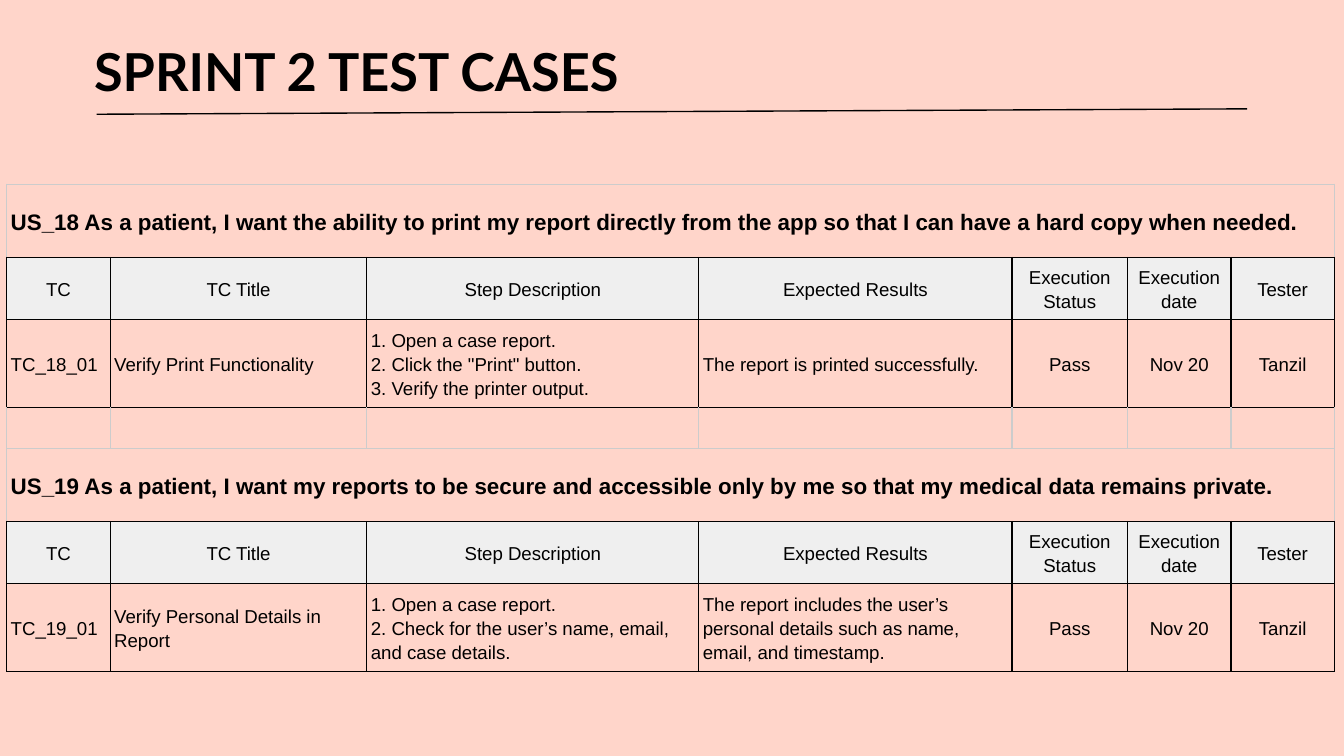
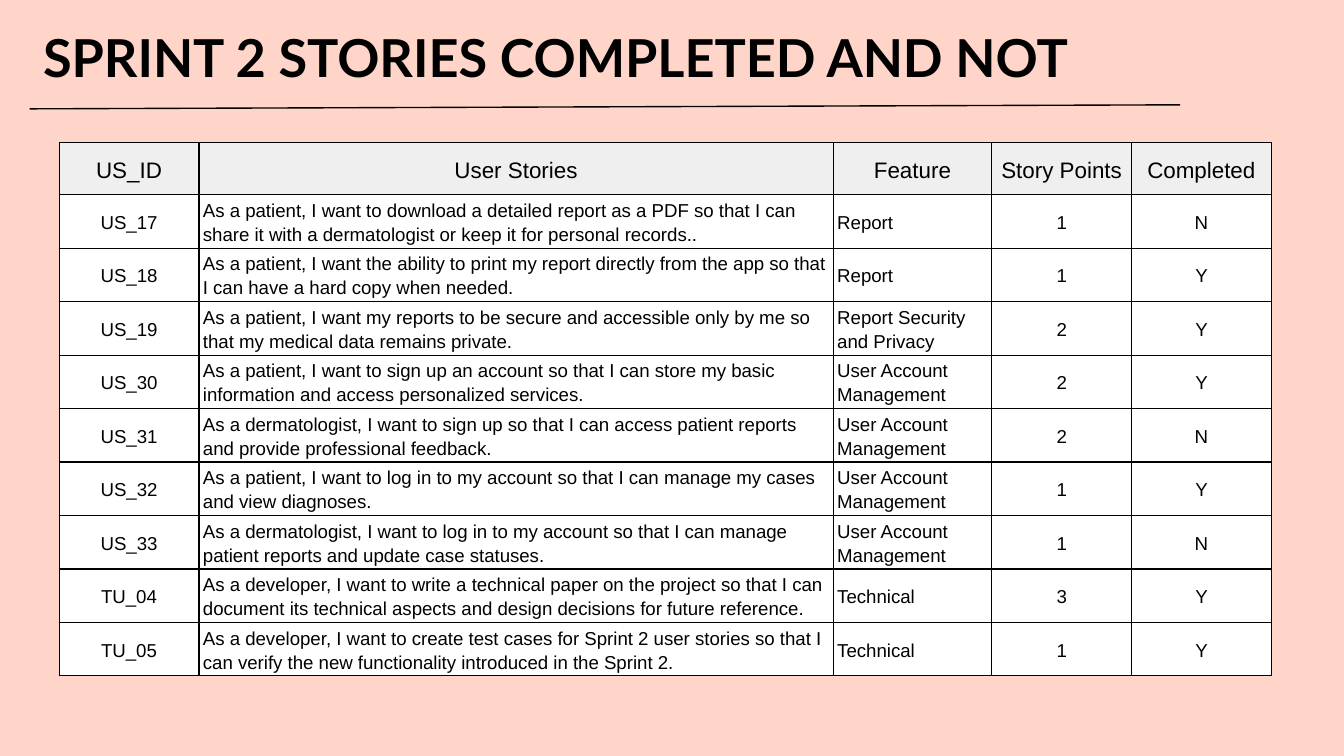
from dataclasses import dataclass
from typing import Optional

from lxml.etree import SubElement
from pptx import Presentation
from pptx.dml.color import RGBColor
from pptx.enum.shapes import MSO_CONNECTOR
from pptx.enum.text import MSO_ANCHOR, MSO_AUTO_SIZE, PP_ALIGN
from pptx.oxml.ns import qn
from pptx.oxml.xmlchemy import OxmlElement
from pptx.util import Inches, Pt

GRID_COLUMNS, GRID_ROWS = 100, 56.25
BLACK, WHITE, PEACH = "000000", "FFFFFF", "FFD5CA"
HEADER_GREY, PALE_GREY = "EFEFEF", "CCCCCC"
BODY_FONT, TITLE_FONT = "Arial", "Lato"
BORDER_WIDTH = Pt(0.75)


@dataclass(frozen=True)
class RowStyle:
    height: float
    fill: Optional[str] = None
    size: float = 10
    bold: bool = False
    spanning: bool = False
    centred: frozenset = frozenset()
    left: str = BLACK
    right: str = BLACK
    top: str = BLACK
    bottom: str = BLACK


@dataclass(frozen=True)
class Row:
    style: RowStyle
    texts: tuple


@dataclass(frozen=True)
class Heading:
    text: str
    left: float
    top: float
    rule_start: tuple
    rule_end: tuple


@dataclass(frozen=True)
class Grid:
    left: float
    top: float
    widths: tuple
    rows: list


def units(count: float) -> int:
    return Inches(count / 10)


def colour(code: str) -> RGBColor:
    return RGBColor.from_string(code)


def write(frame, text: str, *, font: str = BODY_FONT, size: float = 10, bold: bool = False,
          align=PP_ALIGN.LEFT, spacing: Optional[float] = None) -> None:
    frame.text = text
    for paragraph in frame.paragraphs:
        paragraph.alignment = align
        paragraph.line_spacing = spacing
        for run in paragraph.runs:
            run.font.name = font
            run.font.size = Pt(size)
            run.font.bold = bold
            run.font.color.rgb = colour(BLACK)
        if not paragraph.runs:
            SubElement(paragraph._p, qn("a:endParaRPr"), sz=str(int(size * 100)))


def draw_borders(cell, style: RowStyle) -> None:
    properties = cell._tc.get_or_add_tcPr()
    sides = (("a:lnL", style.left), ("a:lnR", style.right),
             ("a:lnT", style.top), ("a:lnB", style.bottom))
    for position, (tag, code) in enumerate(sides):
        border = OxmlElement(tag)
        border.set("w", str(BORDER_WIDTH))
        SubElement(SubElement(border, qn("a:solidFill")), qn("a:srgbClr"), val=code)
        properties.insert(position, border)


def draw_cell(cell, text: str, style: RowStyle, column: int) -> None:
    cell.vertical_anchor = MSO_ANCHOR.MIDDLE
    cell.margin_left = cell.margin_right = Inches(0.03)
    cell.margin_top = cell.margin_bottom = Inches(0.02)
    align = PP_ALIGN.CENTER if column in style.centred else PP_ALIGN.LEFT
    write(cell.text_frame, text, size=style.size, bold=style.bold, align=align, spacing=1.15)
    if style.fill:
        cell.fill.solid()
        cell.fill.fore_color.rgb = colour(style.fill)
    else:
        cell.fill.background()
    draw_borders(cell, style)


def draw_grid(slide, grid: Grid) -> None:
    height = sum(row.style.height for row in grid.rows)
    table = slide.shapes.add_table(
        len(grid.rows), len(grid.widths), units(grid.left), units(grid.top),
        units(sum(grid.widths)), units(height)).table
    table.first_row = table.horz_banding = False
    for column, width in zip(table.columns, grid.widths):
        column.width = units(width)
    last = len(grid.widths) - 1
    for number, row in enumerate(grid.rows):
        table.rows[number].height = units(row.style.height)
        for column in range(last + 1):
            text = row.texts[column] if column < len(row.texts) else ""
            draw_cell(table.cell(number, column), text, row.style, column)
        if row.style.spanning:
            table.cell(number, 0).merge(table.cell(number, last))


def draw_heading(slide, heading: Heading) -> None:
    title = slide.shapes.title
    title.left, title.top = units(heading.left), units(heading.top)
    title.width, title.height = units(84.3), units(6.3)
    frame = title.text_frame
    frame.word_wrap = True
    frame.auto_size = MSO_AUTO_SIZE.NONE
    frame.vertical_anchor = MSO_ANCHOR.TOP
    frame.margin_left = frame.margin_right = frame.margin_top = frame.margin_bottom = units(1)
    write(frame, heading.text, font=TITLE_FONT, size=28, bold=True)
    ends = [units(value) for value in heading.rule_start + heading.rule_end]
    rule = slide.shapes.add_connector(MSO_CONNECTOR.STRAIGHT, *ends)
    rule.line.color.rgb = colour(BLACK)
    rule.line.width = BORDER_WIDTH
    SubElement(rule._element.spPr, qn("a:effectLst"))


def add_slide(deck, heading: Heading, grid: Grid) -> None:
    slide = deck.slides.add_slide(deck.slide_layouts[5])
    slide.background.fill.solid()
    slide.background.fill.fore_color.rgb = colour(PEACH)
    draw_heading(slide, heading)
    draw_grid(slide, grid)


CASE_STORY = RowStyle(5.45, size=12, bold=True, spanning=True,
                      left=PALE_GREY, right=PALE_GREY, top=PALE_GREY)
CASE_HEADER = RowStyle(4.6, fill=HEADER_GREY, centred=frozenset(range(7)))
CASE_BODY = RowStyle(6.55, centred=frozenset({4, 5, 6}))
CASE_GAP = RowStyle(3.05, left=PALE_GREY, right=PALE_GREY, bottom=PALE_GREY)
BACKLOG_HEADER = RowStyle(3.9, fill=HEADER_GREY, size=12, centred=frozenset(range(5)))
BACKLOG_BODY = RowStyle(3.98, fill=WHITE, centred=frozenset({0, 3, 4}))

CASE_COLUMNS = ("TC", "TC Title", "Step Description", "Expected Results",
                "Execution Status", "Execution date", "Tester")
CASE_OUTCOME = ("Pass", "Nov 20", "Tanzil")
PRINT_STORY = ("As a patient, I want the ability to print my report directly from the app "
               "so that I can have a hard copy when needed.")
SECURITY_STORY = ("As a patient, I want my reports to be secure and accessible only by me "
                  "so that my medical data remains private.")
ACCOUNT = "User Account Management"

BACKLOG = [
    ("US_17", "As a patient, I want to download a detailed report as a PDF so that I can share it "
     "with a dermatologist or keep it for personal records..", "Report", "1", "N"),
    ("US_18", PRINT_STORY, "Report", "1", "Y"),
    ("US_19", SECURITY_STORY, "Report Security and Privacy", "2", "Y"),
    ("US_30", "As a patient, I want to sign up an account so that I can store my basic "
     "information and access personalized services.", ACCOUNT, "2", "Y"),
    ("US_31", "As a dermatologist, I want to sign up so that I can access patient reports "
     "and provide professional feedback.", ACCOUNT, "2", "N"),
    ("US_32", "As a patient, I want to log in to my account so that I can manage my cases "
     "and view diagnoses.", ACCOUNT, "1", "Y"),
    ("US_33", "As a dermatologist, I want to log in to my account so that I can manage "
     "patient reports and update case statuses.", ACCOUNT, "1", "N"),
    ("TU_04", "As a developer, I want to write a technical paper on the project so that I can "
     "document its technical aspects and design decisions for future reference.",
     "Technical", "3", "Y"),
    ("TU_05", "As a developer, I want to create test cases for Sprint 2 user stories so that I "
     "can verify the new functionality introduced in the Sprint 2.", "Technical", "1", "Y"),
]


def case_rows(story: str, *case: str) -> list:
    return [Row(CASE_STORY, (story,)), Row(CASE_HEADER, CASE_COLUMNS),
            Row(CASE_BODY, case + CASE_OUTCOME)]


def main() -> None:
    deck = Presentation()
    deck.slide_width, deck.slide_height = units(GRID_COLUMNS), units(GRID_ROWS)

    print_case = case_rows(
        f"US_18 {PRINT_STORY}", "TC_18_01", "Verify Print Functionality",
        '1. Open a case report.\n2. Click the "Print" button.\n3. Verify the printer output.',
        "The report is printed successfully.")
    security_case = case_rows(
        f"US_19 {SECURITY_STORY}", "TC_19_01", "Verify Personal Details in Report",
        "1. Open a case report.\n2. Check for the user’s name, email, and case details.",
        "The report includes the user’s personal details such as name, email, and timestamp.")
    add_slide(
        deck,
        Heading("SPRINT 2 TEST CASES", 6, 1.9, (7.2, 8.5), (92.8, 8.1)),
        Grid(0.5, 13.7, (7.7, 19.1, 24.7, 23.3, 8.6, 7.7, 7.7),
             print_case + [Row(CASE_GAP, ())] + security_case))

    backlog_rows = [Row(BACKLOG_HEADER,
                        ("US_ID", "User Stories", "Feature", "Story Points", "Completed"))]
    backlog_rows += [Row(BACKLOG_BODY, entry) for entry in BACKLOG]
    add_slide(
        deck,
        Heading("SPRINT 2 STORIES COMPLETED AND NOT", 2.2, 0.9, (2.2, 8.1), (87.8, 7.8)),
        Grid(4.4, 10.6, (10.4, 47.2, 11.8, 10.4, 10.4), backlog_rows))

    deck.save("out.pptx")


if __name__ == "__main__":
    main()
